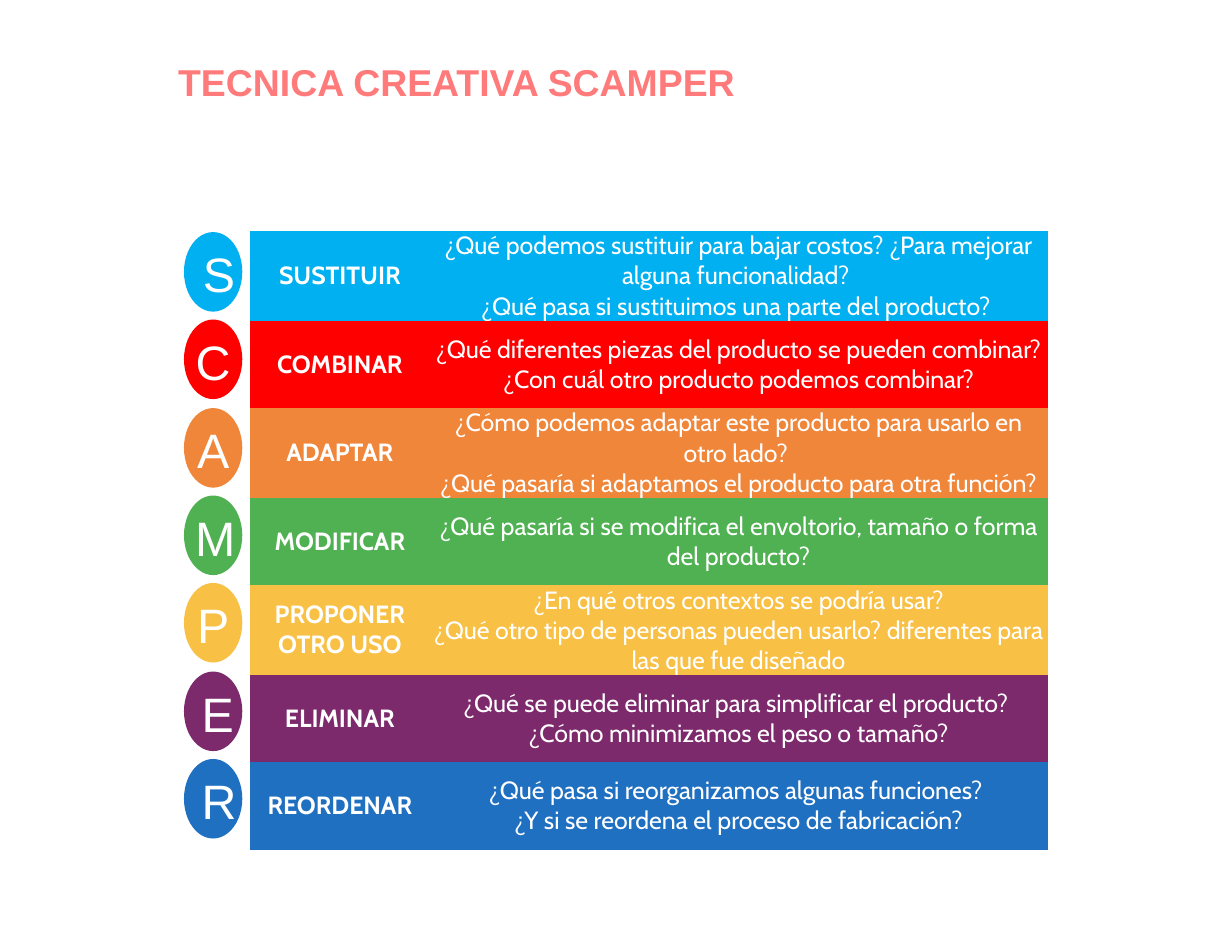
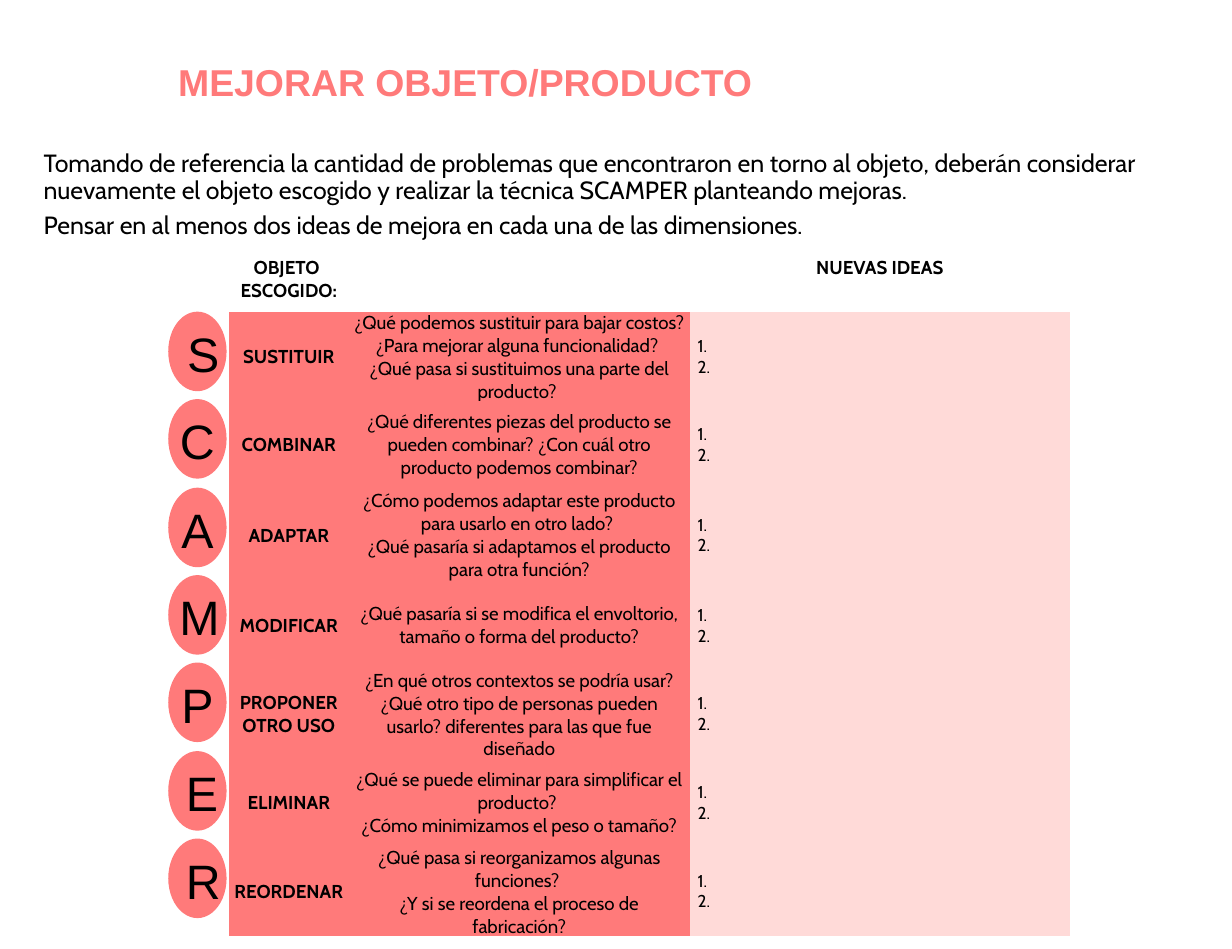
from pptx import Presentation
from pptx import util as u
from pptx.dml import color
from pptx.enum import shapes, text

SCALE = 9144
SLIDE_WIDTH, SLIDE_HEIGHT = u.Emu(10044113), u.Emu(7740650)
COLOURS = {
    "coral": "FF7A7A", "pink": "FFDAD8", "white": "FFFFFF", "black": "000000",
    "sky": "00B0F0", "red": "FF0000", "orange": "EF863A", "green": "50B152",
    "yellow": "F8C045", "purple": "7C2A6C", "blue": "2070C1",
}
PLAIN_TABLE = "{2D5ABB26-0587-4C30-8999-92F81FD0307C}"
BADGE_WIDTH, BADGE_HEIGHT = 52, 71
ROW_HEIGHT = 78

STEPS = [
    ("S", 7, "sky", "SUSTITUIR",
     ["¿Qué podemos sustituir para bajar costos? ¿Para mejorar alguna funcionalidad? ",
      "¿Qué pasa si sustituimos una parte del producto? "]),
    ("C", 0, "red", "COMBINAR",
     ["¿Qué diferentes piezas del producto se pueden combinar? "
      "¿Con cuál otro producto podemos combinar?"]),
    ("A", 0, "orange", "ADAPTAR",
     ["¿Cómo podemos adaptar este producto para usarlo en otro lado? ",
      "¿Qué pasaría si adaptamos el producto para otra función?"]),
    ("M", 0, "green", "MODIFICAR",
     ["¿Qué pasaría si se modifica el envoltorio, tamaño o forma del producto?"]),
    ("P", 0, "yellow", "PROPONER OTRO USO",
     ["¿En qué otros contextos se podría usar?",
      "¿Qué otro tipo de personas pueden usarlo? diferentes para las que fue diseñado"]),
    ("E", 6, "purple", "ELIMINAR",
     ["¿Qué se puede eliminar para simplificar el producto? ",
      "¿Cómo minimizamos el peso o tamaño?"]),
    ("R", 6, "blue", "REORDENAR",
     ["¿Qué pasa si reorganizamos algunas funciones? ",
      "¿Y si se reordena el proceso de fabricación?"]),
]


def px(*lengths):
    return [u.Emu(length * SCALE) for length in lengths]


def rgb(name):
    return color.RGBColor.from_string(COLOURS[name])


def write(frame, lines, size, ink, font="Cabin", bold=False, align=None, spacing=None):
    for index, line in enumerate(lines):
        para = frame.paragraphs[0] if index == 0 else frame.add_paragraph()
        para.alignment = align
        if spacing:
            para.line_spacing = spacing[index]
        span = para.add_run()
        span.text = line
        span.font.name = font
        span.font.size = u.Pt(size)
        span.font.bold = bold
        span.font.color.rgb = rgb(ink)


def add_text(parent, place, lines, size, ink, inset=10, **style):
    frame = parent.add_textbox(*px(*place)).text_frame
    frame.word_wrap = True
    frame.margin_left = frame.margin_right = px(10)[0]
    frame.margin_top = frame.margin_bottom = px(inset)[0]
    write(frame, lines, size, ink, **style)
    return frame


def add_title(page, title):
    frame = add_text(page.shapes, (149, 37, 781, 72), [title], 24, "coral",
                     font="Arial", bold=True)
    frame.vertical_anchor = text.MSO_ANCHOR.MIDDLE


def add_badges(page, left, top, ink, fill=None):
    group = page.shapes.add_group_shape().shapes
    tops = [top + round(index * 235 / 3) for index in range(len(STEPS))]
    for y, (_, _, hue, _, _) in zip(tops, STEPS):
        oval = group.add_shape(shapes.MSO_SHAPE.OVAL,
                               *px(left, y, BADGE_WIDTH, BADGE_HEIGHT))
        oval.shadow.inherit = False
        oval.fill.solid()
        oval.fill.fore_color.rgb = rgb(fill or hue)
        oval.line.fill.background()
    for y, (letter, trim, _, _, _) in zip(tops, STEPS):
        frame = add_text(group, (left + trim, y + 1, BADGE_WIDTH - 2 * trim, 72),
                         [letter], 31, ink, font="Arial", align=text.PP_ALIGN.CENTER)
        frame.auto_size = text.MSO_AUTO_SIZE.SHAPE_TO_FIT_TEXT


def add_grid(page, left, top, widths, heights):
    frame = page.shapes.add_table(len(heights), len(widths),
                                  *px(left, top, sum(widths), sum(heights)))
    table = frame.table
    table.first_row = table.horz_banding = False
    table._tbl.xpath("./a:tblPr/a:tableStyleId")[0].text = PLAIN_TABLE
    for column, width in zip(table.columns, px(*widths)):
        column.width = width
    for row, height in zip(table.rows, px(*heights)):
        row.height = height
    return table


def fill_cell(cell, lines, size, ink, fill=None, side=3, bold=False,
              align=text.PP_ALIGN.CENTER):
    cell.margin_left = cell.margin_right = px(side)[0]
    cell.margin_top = cell.margin_bottom = 0
    cell.vertical_anchor = text.MSO_ANCHOR.MIDDLE
    if fill:
        cell.fill.solid()
        cell.fill.fore_color.rgb = rgb(fill)
    else:
        cell.fill.background()
    write(cell.text_frame, lines, size, ink, bold=bold, align=align)


def fill_step(table, row, step, size, ink, fill):
    _, _, _, name, questions = step
    fill_cell(table.cell(row, 0), [name], size, ink, fill, bold=True)
    fill_cell(table.cell(row, 1), questions, size, ink, fill)


def build_technique(page):
    add_title(page, "TECNICA CREATIVA SCAMPER")
    add_badges(page, 164, 207, "white")
    table = add_grid(page, 223, 206, [160, 551], [ROW_HEIGHT] * len(STEPS))
    for row, step in enumerate(STEPS):
        fill_step(table, row, step, 16, "white", step[2])


def build_worksheet(page):
    add_title(page, "MEJORAR OBJETO/PRODUCTO")
    add_badges(page, 150, 278, "black", "coral")
    heights = [58] + [83 if step[0] == "A" else ROW_HEIGHT for step in STEPS]
    table = add_grid(page, 204, 220, [107, 304, 339], heights)
    fill_cell(table.cell(0, 0), ["OBJETO ", "ESCOGIDO:"], 12, "black", bold=True)
    fill_cell(table.cell(0, 1), [], 12, "black")
    ideas = table.cell(0, 2)
    fill_cell(ideas, ["NUEVAS IDEAS"], 12, "black", side=7, bold=True)
    ideas.vertical_anchor = text.MSO_ANCHOR.TOP
    ideas.margin_top = px(9)[0]
    for row, step in enumerate(STEPS, 1):
        fill_step(table, row, step, 12, "black", "coral")
        fill_cell(table.cell(row, 2), ["1.", "2."], 11, "black", "pink", side=7,
                  align=text.PP_ALIGN.LEFT)
    add_text(page.shapes, (29, 130, 1040, 38), [
        "Tomando de referencia la cantidad de problemas que encontraron en torno al objeto, "
        "deberán considerar nuevamente el objeto escogido y realizar la técnica SCAMPER "
        "planteando mejoras.",
        "Pensar en al menos dos ideas de mejora en cada una de las dimensiones.",
    ], 16, "black", inset=5, spacing=[0.9, 1.15])


def main():
    deck = Presentation()
    deck.slide_width = SLIDE_WIDTH
    deck.slide_height = SLIDE_HEIGHT
    deck.element.sldSz.attrib.pop("type", None)
    blank = deck.slide_layouts[6]
    build_technique(deck.slides.add_slide(blank))
    build_worksheet(deck.slides.add_slide(blank))
    deck.save("out.pptx")


if __name__ == "__main__":
    main()
